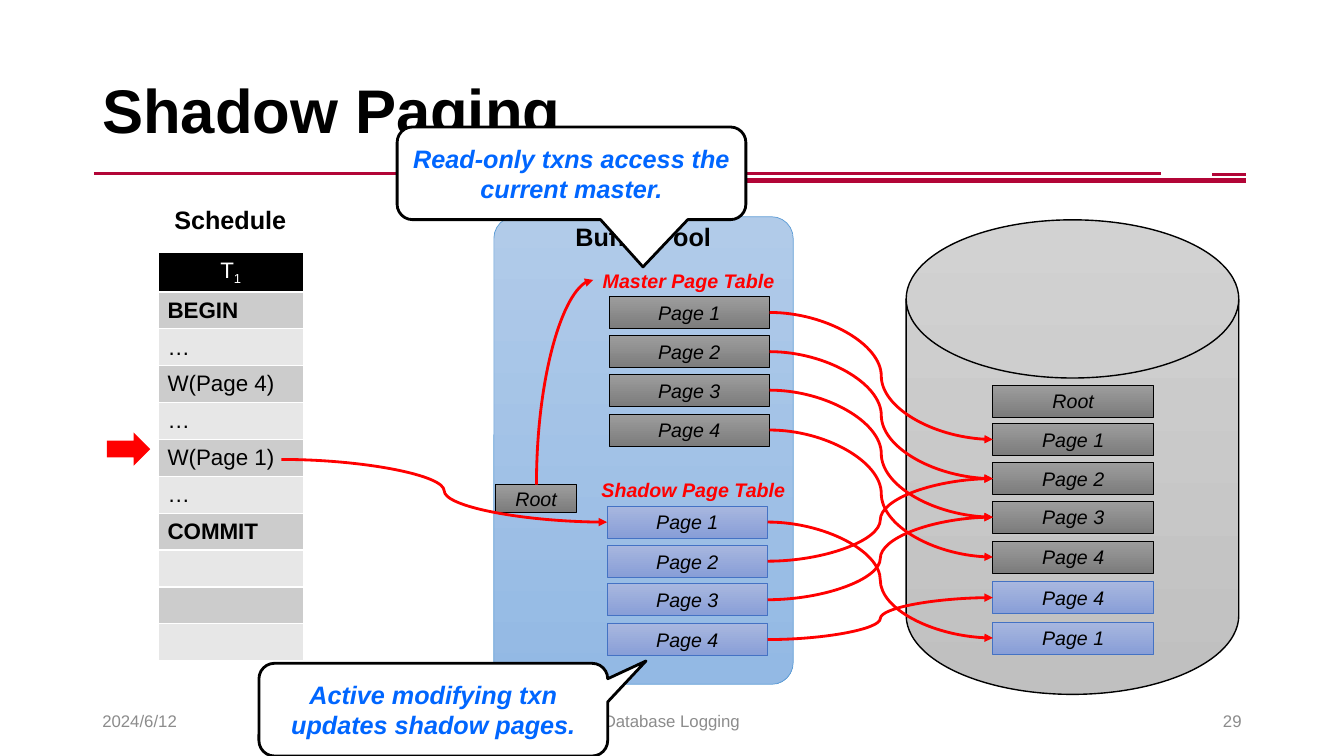
"""Build the Shadow Paging slide."""
from pptx import Presentation
from pptx.dml.color import RGBColor
from pptx.enum import shapes as es, text as et
from pptx.oxml import parse_xml
from pptx.oxml.ns import nsdecls
from pptx.util import Pt

BLACK = RGBColor(0, 0, 0)
WHITE = RGBColor(255, 255, 255)
RED = RGBColor(255, 0, 0)
WINE = RGBColor(0xB2, 0x05, 0x37)
MUTE = RGBColor(0x8C, 0x8C, 0x8C)
BLUE = RGBColor(0, 0x66, 0xFF)
DARK = RGBColor(0xCC, 0xCC, 0xCC)
PALE = RGBColor(0xE7, 0xE7, 0xE7)
DISK = RGBColor(0xD2, 0xD2, 0xD2), RGBColor(0xC0, 0xC0, 0xC0), BLACK, 1
POOL = RGBColor(0xB1, 0xCB, 0xE9), RGBColor(0x93, 0xB9, 0xE4), RGBColor(0x5B, 0x9B, 0xD5), 0.5
GRAY = RGBColor(0x9D, 0x9D, 0x9D), RGBColor(0x7C, 0x7C, 0x7C), BLACK, 0.5
SHADE = RGBColor(0xA8, 0xB7, 0xDF), RGBColor(0x88, 0x9E, 0xD7), RGBColor(0x44, 0x72, 0xC4), 0.5

KIND = es.MSO_SHAPE
LEFT, MID, RIGHT = et.PP_ALIGN.LEFT, et.PP_ALIGN.CENTER, et.PP_ALIGN.RIGHT

deck = Presentation()
deck.slide_width, deck.slide_height = Pt(960), Pt(540)
slide = deck.slides.add_slide(deck.slide_layouts[6])
tree = slide.shapes


def block(kind, box, look, words=""):
    """Add a gradient shape with an italic label."""
    top, low, edge, width = look
    shape = tree.add_shape(kind, *map(Pt, box))
    shape.shadow.inherit = False
    shape.fill.gradient()
    shape.fill.gradient_angle = 270
    for stop, color in zip(shape.fill.gradient_stops, (top, low)):
        stop.color.rgb = color
    shape.line.color.rgb = edge
    shape.line.width = Pt(width)
    if words:
        shape.text_frame.text = words
        para = shape.text_frame.paragraphs[0]
        para.alignment = MID
        font = para.runs[0].font
        font.name, font.size, font.italic = "Arial", Pt(14), True
        font.color.rgb = BLACK
    return shape


def link(kind, ends, color, width, head=False):
    """Add a plain connector, with an arrowhead if asked."""
    line = tree.add_connector(kind, *map(Pt, ends))
    line.line.color.rgb = color
    line.line.width = Pt(width)
    if head:
        line.line._get_or_add_ln().append(parse_xml(f'<a:tailEnd type="triangle" {nsdecls("a")}/>'))
    line._element.spPr.append(parse_xml(f'<a:effectLst {nsdecls("a")}/>'))
    return line


for x1, x2, y, width in ((67, 829.5, 123.8, 2), (414, 890, 128.9, 4), (866, 890, 124.6, 2)):
    link(es.MSO_CONNECTOR.STRAIGHT, (x1, y, x2, y), WINE, width)

block(KIND.FLOWCHART_MAGNETIC_DISK, (647.3, 157, 237.6, 339), DISK)
pool = block(KIND.ROUNDED_RECTANGLE, (352.8, 154.8, 213.8, 334), POOL)
pool.adjustments[0] = 0.072

notes = (
    ("Shadow Paging", (66, 28.8, 828, 104.4), 44, BLACK, True, False, LEFT, True),
    ("2024/6/12", (66, 500.5, 216, 28.8), 12, MUTE, False, False, LEFT, True),
    ("Database Logging", (318, 500.5, 324, 28.8), 12, MUTE, False, False, MID, True),
    ("29", (678, 500.5, 216, 28.8), 12, MUTE, False, False, RIGHT, True),
    ("Buffer Pool", (403.9, 154.8, 112.3, 28.8), 18, BLACK, True, False, LEFT, False),
    ("Schedule", (117.4, 142.6, 95, 28.8), 18, BLACK, True, False, LEFT, False),
    ("Master Page Table", (423.4, 187.9, 137.5, 24.5), 14, RED, True, True, LEFT, False),
    ("Shadow Page Table", (422.6, 337.7, 146.2, 24.5), 14, RED, True, True, LEFT, False),
)
for words, box, size, color, bold, slant, align, wrap in notes:
    frame = tree.add_textbox(*map(Pt, box)).text_frame
    frame.word_wrap = wrap
    frame.vertical_anchor = et.MSO_ANCHOR.MIDDLE
    frame.text = words
    para = frame.paragraphs[0]
    para.alignment = align
    if size == 44:
        para.line_spacing = 0.9
    font = para.runs[0].font
    font.name, font.size, font.bold, font.italic = "Arial", Pt(size), bold, slant
    font.color.rgb = color

steps = ("T", "BEGIN", "…", "W(Page 4)", "…", "W(Page 1)", "…", "COMMIT", "", "", "")
grid = tree.add_table(len(steps), 1, Pt(113.2), Pt(180.4), Pt(104), Pt(291.7)).table
for i, step in enumerate(steps):
    grid.rows[i].height = Pt(26.35 if i else 28.2)
    cell = grid.cell(i, 0)
    cell.fill.solid()
    cell.fill.fore_color.rgb = (DARK if i % 2 else PALE) if i else BLACK
    cell.margin_top = cell.margin_bottom = Pt(2)
    cell.margin_left = Pt(6.5)
    cell.vertical_anchor = et.MSO_ANCHOR.MIDDLE
    cell.text_frame.text = step
    para = cell.text_frame.paragraphs[0]
    if i == 0:
        para.alignment = MID
        para.add_run().text = "1"
    for run in para.runs:
        font = run.font
        font.name, font.size, font.bold = "Arial", Pt(16), step in ("BEGIN", "COMMIT")
        font.color.rgb = BLACK if i else WHITE
        if run.text == "1":
            font._element.set("baseline", "-25000")

gaps = (0, 28, 55.5, 84)
sets = []
for x, y, look in ((709.2, 302.4, GRAY), (435, 211.7, GRAY), (433.6, 361.4, SHADE)):
    sets.append([block(KIND.RECTANGLE, (x, y + gap, 114.8, 23), look, f"Page {i}")
                 for i, gap in enumerate(gaps, 1)])
disk, master, shadow = sets
block(KIND.RECTANGLE, (709.2, 275, 114.8, 23), GRAY, "Root")
block(KIND.RECTANGLE, (354.2, 346.3, 57.6, 19.5), GRAY, "Root")
new4, new1 = [block(KIND.RECTANGLE, (709.2, y, 114.8, 23), SHADE, words)
              for y, words in ((415.4, "Page 4"), (444.2, "Page 1"))]

pairs = list(zip(master, disk)) + list(zip(shadow, (new1, disk[1], disk[2], new4)))
for start, end in pairs:
    line = link(es.MSO_CONNECTOR.CURVE, (0, 0, 9, 9), RED, 2, True)
    line.begin_connect(start, 3)
    line.end_connect(end, 1)

link(es.MSO_CONNECTOR.CURVE, (201, 328.2, 433.6, 373), RED, 2, True)
bend = link(es.MSO_CONNECTOR.CURVE, (476.6, 293.4, 330.4, 252.8), RED, 2, True)
bend._element.spPr.prstGeom.set("prst", "curvedConnector2")
bend._element.spPr.xfrm.set("rot", "5400000")

calls = (
    (("Read-only txns access the", "current master."), 283.7, 90.7, (0.205, 1.01, 0.167)),
    (("Active modifying txn", "updates shadow pages."), 185, 473.8, (0.61, -0.526, 0.167)),
)
for words, x, y, bends in calls:
    call = tree.add_shape(KIND.ROUNDED_RECTANGULAR_CALLOUT, Pt(x), Pt(y), Pt(249.1), Pt(66.2))
    call.shadow.inherit = False
    for i, value in enumerate(bends):
        call.adjustments[i] = value
    call.fill.solid()
    call.fill.fore_color.rgb = WHITE
    call.line.color.rgb = BLACK
    call.line.width = Pt(2)
    call.text_frame.text = "\n".join(words)
    for para in call.text_frame.paragraphs:
        para.alignment = MID
        font = para.runs[0].font
        font.name, font.size, font.bold, font.italic = "Arial", Pt(18), True, True
        font.color.rgb = BLUE

arrow = tree.add_shape(KIND.RIGHT_ARROW, Pt(76.3), Pt(308.9), Pt(31), Pt(23.8))
arrow.shadow.inherit = False
arrow.fill.solid()
arrow.fill.fore_color.rgb = RED
arrow.line.fill.background()

deck.save("out.pptx")
